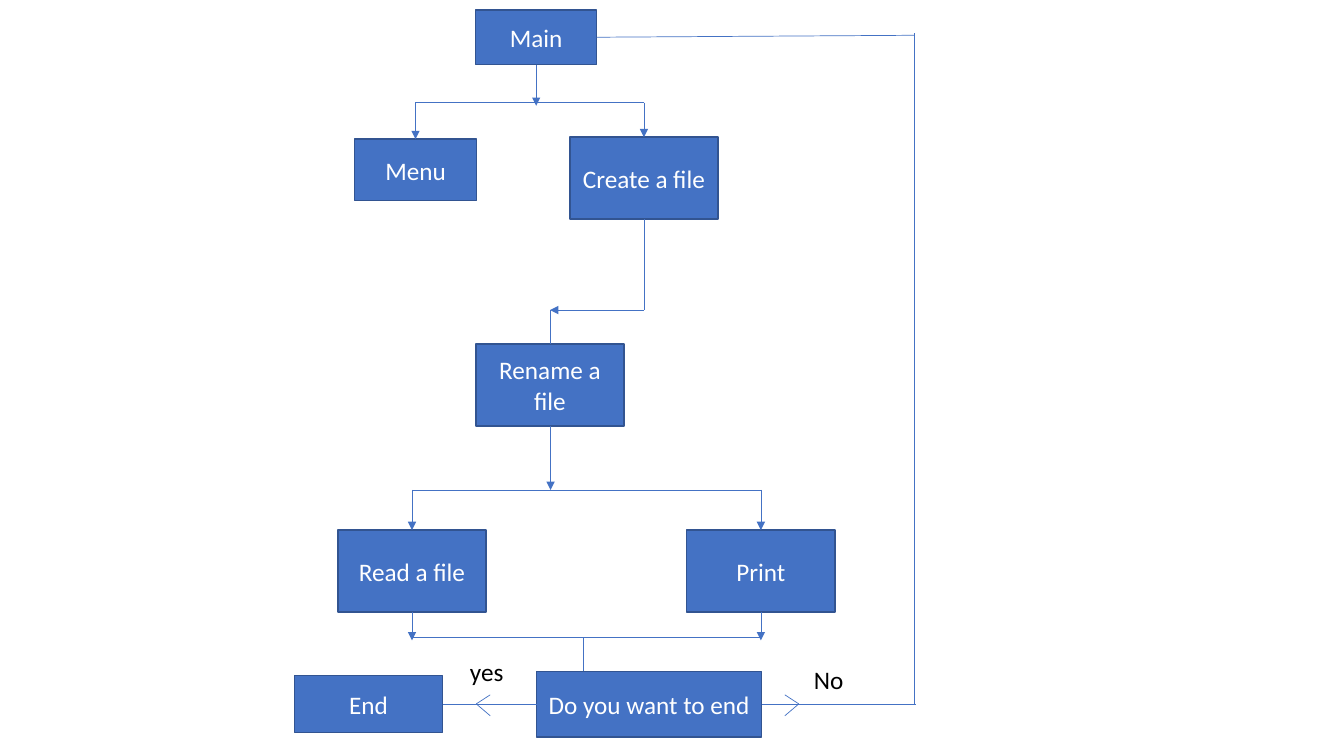
from pptx import Presentation
from pptx.dml.color import RGBColor
from pptx.enum.shapes import MSO_CONNECTOR, MSO_SHAPE
from pptx.enum.text import MSO_ANCHOR, PP_ALIGN
from pptx.oxml.ns import qn
from pptx.util import Pt
from lxml.etree import SubElement

BLUE, EDGE, WHITE, BLACK = "4472C4", "325491", "FFFFFF", "000000"
STEP = (105.8, 58.5)  # size of a file step


def paint(target, code):
    target.rgb = RGBColor.from_string(code)


def write(shape, text, code):
    frame = shape.text_frame
    frame.text = text
    font = frame.paragraphs[0].runs[0].font
    font.name, font.size = "Calibri", Pt(18)
    paint(font.color, code)
    return frame


def node(slide, text, x, y, w, h):
    shape = slide.shapes.add_shape(MSO_SHAPE.RECTANGLE, Pt(x), Pt(y), Pt(w), Pt(h))
    shape.shadow.inherit = False
    shape.fill.solid()
    paint(shape.fill.fore_color, BLUE)
    paint(shape.line.color, EDGE)
    shape.line.width = Pt(1)
    frame = write(shape, text, WHITE)
    frame.vertical_anchor = MSO_ANCHOR.MIDDLE
    frame.paragraphs[0].alignment = PP_ALIGN.CENTER


def label(slide, text, x, y, w):
    box = slide.shapes.add_textbox(Pt(x), Pt(y), Pt(w), Pt(28.8))
    write(box, text, BLACK).word_wrap = False


def link(slide, x1, y1, x2, y2, arrow=False):
    line = slide.shapes.add_connector(
        MSO_CONNECTOR.STRAIGHT, Pt(x1), Pt(y1), Pt(x2), Pt(y2))
    paint(line.line.color, BLUE)
    line.line.width = Pt(0.5)
    if arrow:
        SubElement(line.line._get_or_add_ln(), qn("a:tailEnd"), type="triangle")
    SubElement(line._element.spPr, qn("a:effectLst"))


def start(slide, x, y, w, h):
    """Main forks to the menu and the new file."""
    wide, tall = STEP
    menu, make, bar = x + 43.4, x + w - wide / 2, y + 66.2
    node(slide, "Main", x + 86.4, y, 86.4, 39)
    node(slide, "Menu", x, y + 92.2, 87, 44)
    node(slide, "Create a file", x + w - wide, y + h - tall, wide, tall)
    link(slide, x + 129.6, y + 39, x + 129.6, bar + 2.2, True)
    link(slide, menu, bar, make, bar)
    link(slide, menu, bar, menu, y + 92.2, True)
    link(slide, make, bar, make, y + h - tall, True)


def rename(slide, x, y, w, h):
    """Path from the new file down to its renaming."""
    wide, tall = STEP
    mid, turn = x + wide / 2, y + 65
    node(slide, "Rename a file", x, y + h - tall, wide, tall)
    link(slide, x + w, y, x + w, turn)
    link(slide, x + w, turn, mid, turn, True)
    link(slide, mid, turn, mid, y + h - tall)


def use(slide, x, y, w, h):
    """Fork to reading and printing, then join."""
    wide, tall = STEP
    top, join = y + 45.7, y + h
    ends = x + wide / 2, x + w - wide / 2
    link(slide, x + 151.9, y, x + 151.9, top, True)
    for bar in (top, join):
        link(slide, ends[0], bar, ends[1], bar)
    for text, mid in zip(("Read a file", "Print"), ends):
        node(slide, text, mid - wide / 2, top + 28.6, wide, tall)
        link(slide, mid, top, mid, top + 28.6, True)
        link(slide, mid, top + 28.6 + tall, mid, join + 2.2, True)


def choice(slide, x, y, w, h):
    """Question with its yes and no branches."""
    row, left, right = y + 47.6, x + 173, x + 333.6
    link(slide, x + 206.2, y, x + 206.2, y + 24.4)
    node(slide, "Do you want to end", left, y + 24.4, right - left, h - 24.4)
    node(slide, "End", x, y + 27.4, STEP[0], 40.5)
    link(slide, x + STEP[0], row, left, row)
    link(slide, right, row, x + w, row)
    for tip, back in ((x + 129.8, 10), (x + 360.2, -10)):
        for rise in (-6.5, 8.5):
            link(slide, tip, row, tip + back, row + rise)
    label(slide, "yes", x + 118.2, y + 10, 39.6)
    label(slide, "No", x + 363.8, y + 15.8, 46)


def loop(slide, x, y, w, h):
    """Way back up to Main."""
    link(slide, x + w, y + h, x + w, y)
    link(slide, x, y + 2.8, x + w, y + 1.4)


deck = Presentation()
deck.slide_width, deck.slide_height = Pt(960), Pt(540)
slide = deck.slides.add_slide(deck.slide_layouts[6])

start(slide, 253.4, 7.2, 259.5, 149.3)
rename(slide, 340, 156.5, 120, 147.8)
use(slide, 241.4, 304.3, 355, 150.9)
choice(slide, 210.4, 455.2, 444.2, 71.2)
loop(slide, 426.2, 23.8, 226.8, 479)

deck.save("out.pptx")
